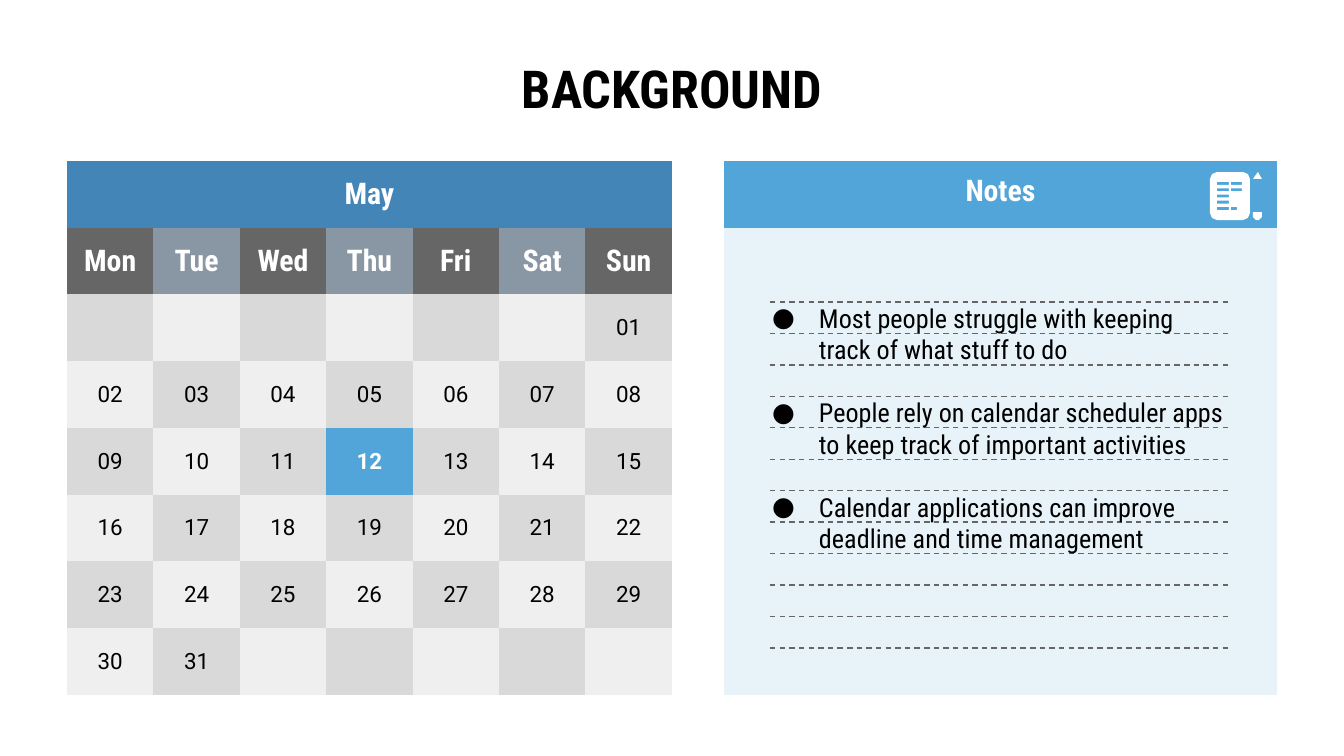
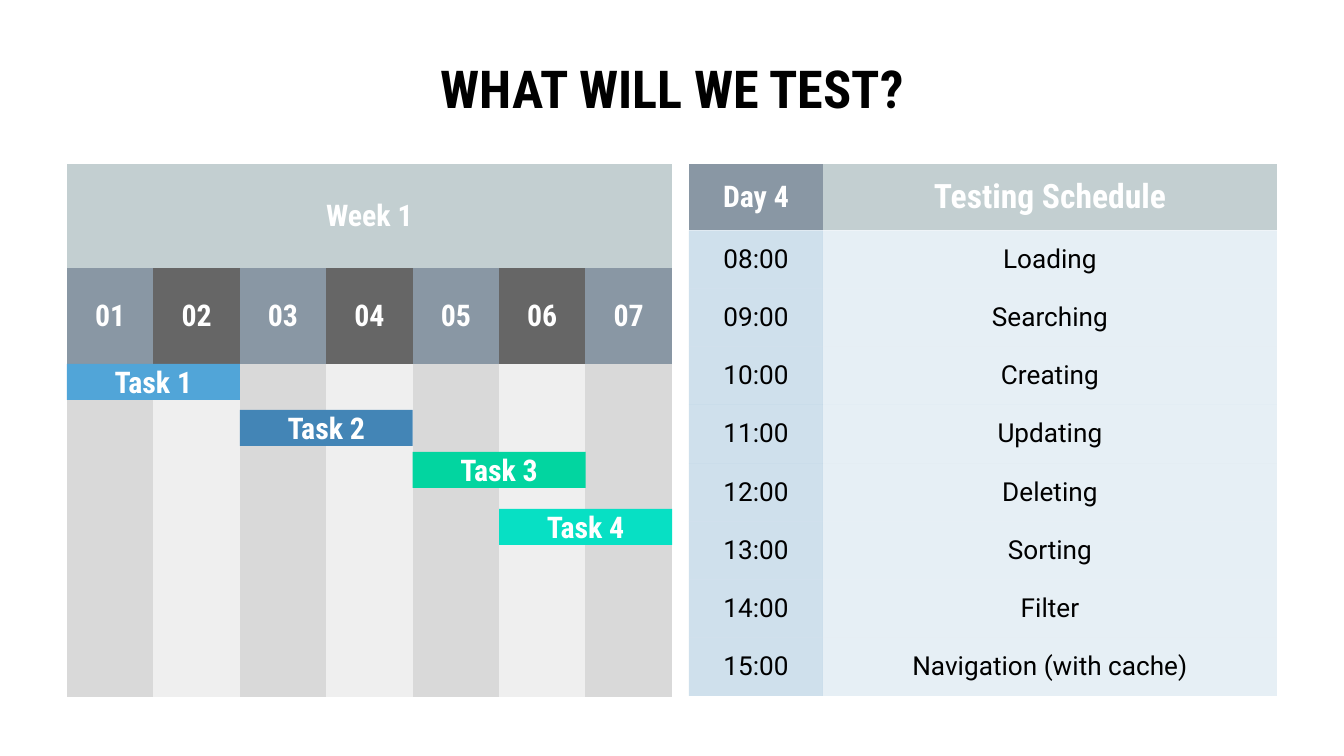
from math import cos, pi, sin
from collections import namedtuple

from lxml.etree import SubElement
from pptx import Presentation
from pptx.dml.color import RGBColor
from pptx.enum.dml import MSO_LINE
from pptx.enum.shapes import MSO_CONNECTOR, MSO_SHAPE
from pptx.enum.text import MSO_ANCHOR, PP_ALIGN
from pptx.oxml import parse_xml
from pptx.oxml.ns import nsdecls, qn
from pptx.util import Emu, Pt

BLACK = RGBColor(0x00, 0x00, 0x00)
WHITE = RGBColor(0xFF, 0xFF, 0xFF)
SKY = RGBColor(0x51, 0xA5, 0xD8)
BLUE = RGBColor(0x43, 0x85, 0xB6)
GREEN = RGBColor(0x02, 0xD5, 0xA0)
TEAL = RGBColor(0x07, 0xE0, 0xC4)
MIST = RGBColor(0xC3, 0xCF, 0xD1)
SLATE = RGBColor(0x89, 0x97, 0xA4)
CHARCOAL = RGBColor(0x66, 0x66, 0x66)
SILVER = RGBColor(0xD9, 0xD9, 0xD9)
PALE = RGBColor(0xEF, 0xEF, 0xEF)

Style = namedtuple("Style", "family size color bold")
TITLE = Style("Roboto Condensed", 28, BLACK, True)
HEADING = Style("Roboto Condensed", 16, WHITE, True)
BIG_HEADING = HEADING._replace(size=18)
NOTE = Style("Roboto Condensed", 14, BLACK, False)
DATE = Style("Roboto", 12, BLACK, False)
MARKED_DATE = DATE._replace(color=WHITE, bold=True)
ENTRY = Style("Roboto", 14, BLACK, False)

BACKGROUND_TITLE = "BACKGROUND"
MONTH = "May"
WEEKDAYS = ["Mon", "Tue", "Wed", "Thu", "Fri", "Sat", "Sun"]
BLANK_DAYS, LAST_DAY, MARKED_DAY, WEEKS = 6, 31, 12, 6
NOTES_HEADING = "Notes"
NOTES = [
    "Most people struggle with keeping track of what stuff to do",
    "People rely on calendar scheduler apps to keep track of important activities",
    "Calendar applications can improve deadline and time management",
]

TEST_TITLE = "WHAT WILL WE TEST?"
WEEK = "Week 1"
WEEK_DAYS = [f"{day:02}" for day in range(1, 8)]
TASKS = [
    ("Task 1", 1, 364, SKY),
    ("Task 2", 3, 410, BLUE),
    ("Task 3", 5, 452, GREEN),
    ("Task 4", 6, 509, TEAL),
]
SCHEDULE_HEADINGS = [("Day 4", HEADING, SLATE), ("Testing Schedule", BIG_HEADING, MIST)]
FIRST_HOUR = 8
ACTIVITIES = ["Loading", "Searching", "Creating", "Updating", "Deleting",
              "Sorting", "Filter", "Navigation (with cache)"]

EMU_PER_PX = 914400 / 134.4
SLIDE_SIZE = (1344, 756)
MARGIN, CONTENT_WIDTH = 67, 1210
INSET = 13
DAY_WIDTH = 605 / 7
CALENDAR_TOP, CALENDAR_HEIGHT = 161, 534
NOTES_LEFT, NOTES_WIDTH, NOTES_HEADER = 724, 553, 67
RULE_LEFT, RULE_RIGHT, RULE_TOP, RULE_BOTTOM, RULES = 770, 1231, 302, 648, 12
TEST_TOP = 164
WEEK_HEIGHTS = [104, 96, 333]
SCHEDULE_LEFT, SCHEDULE_WIDTHS = 689, [134, 454]
SCHEDULE_HEADER, SCHEDULE_BODY = 66, 466
TASK_HEIGHT, TASK_DAYS = 36, 2
NO_GRID_STYLE = "{2D5ABB26-0587-4C30-8999-92F81FD0307C}"


def px(length):
    return Emu(round(length * EMU_PER_PX))


def style_paragraph(paragraph, style, align=PP_ALIGN.CENTER):
    paragraph.alignment = align
    font = paragraph.font
    font.name, font.size, font.bold = style.family, Pt(style.size), style.bold
    font.color.rgb = style.color


def set_insets(frame):
    frame.word_wrap = True
    frame.vertical_anchor = MSO_ANCHOR.MIDDLE
    frame.margin_left = frame.margin_right = px(INSET)
    frame.margin_top = frame.margin_bottom = px(INSET)


def add_text_frame(slide, *box):
    frame = slide.shapes.add_textbox(*map(px, box)).text_frame
    set_insets(frame)
    return frame


def add_title(slide, text):
    frame = add_text_frame(slide, MARGIN, 60, CONTENT_WIDTH, 55)
    frame.text = text
    style_paragraph(frame.paragraphs[0], TITLE)


def add_grid(slide, left, top, widths, heights):
    frame = slide.shapes.add_table(len(heights), len(widths), px(left), px(top),
                                   px(sum(widths)), px(sum(heights)))
    table = frame.table
    table.first_row = table.horz_banding = False
    table._tbl.tblPr.find(qn("a:tableStyleId")).text = NO_GRID_STYLE
    for column, width in zip(table.columns, widths):
        column.width = px(width)
    for row, height in zip(table.rows, heights):
        row.height = px(height)
    return table


def fill_cell(cell, color, text="", style=HEADING, opacity=100, anchor=MSO_ANCHOR.MIDDLE):
    cell.fill.solid()
    cell.fill.fore_color.rgb = color
    if opacity < 100:
        tint = cell._tc.tcPr.find(".//" + qn("a:srgbClr"))
        SubElement(tint, qn("a:alpha"), val=str(opacity * 1000))
    if text:
        set_cell_text(cell, text, style, anchor)


def set_cell_text(cell, text, style, anchor):
    cell.text = text
    cell.vertical_anchor = anchor
    cell.margin_left = cell.margin_right = px(INSET)
    cell.margin_top = cell.margin_bottom = px(INSET)
    style_paragraph(cell.text_frame.paragraphs[0], style)


def add_day_grid(slide, top, heights, heading, heading_color, days, day_colors):
    table = add_grid(slide, MARGIN, top, [DAY_WIDTH] * 7, heights)
    table.cell(0, 0).merge(table.cell(0, 6))
    fill_cell(table.cell(0, 0), heading_color, heading)
    for column, day in enumerate(days):
        fill_cell(table.cell(1, column), day_colors[column % 2], day)
    return table


def add_month(slide):
    rows = WEEKS + 2
    table = add_day_grid(slide, CALENDAR_TOP, [CALENDAR_HEIGHT / rows] * rows,
                         MONTH, BLUE, WEEKDAYS, (CHARCOAL, SLATE))
    for week in range(WEEKS):
        for column in range(7):
            day = week * 7 + column + 1 - BLANK_DAYS
            text = f"{day:02}" if 1 <= day <= LAST_DAY else ""
            color, style = (SILVER, PALE)[(week + column) % 2], DATE
            if day == MARKED_DAY:
                color, style = SKY, MARKED_DATE
            fill_cell(table.cell(week + 2, column), color, text, style)


def add_notes_panel(slide):
    heights = [NOTES_HEADER, CALENDAR_HEIGHT - NOTES_HEADER]
    panel = add_grid(slide, NOTES_LEFT, CALENDAR_TOP, [NOTES_WIDTH], heights)
    fill_cell(panel.cell(0, 0), SKY, NOTES_HEADING, anchor=MSO_ANCHOR.TOP)
    fill_cell(panel.cell(1, 0), SKY, opacity=13)
    rules = slide.shapes.add_group_shape().shapes
    for index in range(RULES):
        y = px(RULE_TOP + index * (RULE_BOTTOM - RULE_TOP) / (RULES - 1))
        rule = rules.add_connector(MSO_CONNECTOR.STRAIGHT, px(RULE_LEFT), y, px(RULE_RIGHT), y)
        rule.line.color.rgb = CHARCOAL
        rule.line.width = Pt(0.75)
        rule.line.dash_style = MSO_LINE.DASH
        SubElement(rule._element.spPr, qn("a:effectLst"))


def add_bullet(paragraph):
    properties = paragraph._p.get_or_add_pPr()
    properties.set("marL", str(px(68)))
    properties.set("indent", str(px(-47)))
    font = properties.find(qn("a:defRPr"))
    for bullet in (f'<a:buClr {nsdecls("a")}><a:srgbClr val="{BLACK}"/></a:buClr>',
                   f'<a:buSzPts {nsdecls("a")} val="{NOTE.size * 100}"/>',
                   f'<a:buFont {nsdecls("a")} typeface="{NOTE.family}"/>',
                   f'<a:buChar {nsdecls("a")} char="●"/>'):
        font.addprevious(parse_xml(bullet))


def add_notes(slide):
    frame = add_text_frame(slide, 738, 288, 500, 280)
    for index, note in enumerate(NOTES):
        paragraph = frame.add_paragraph() if index else frame.paragraphs[0]
        paragraph.text = note
        paragraph.space_before = Pt(17 if index else 0)
        style_paragraph(paragraph, NOTE, PP_ALIGN.LEFT)
        add_bullet(paragraph)


def rounded_outline(left, top, width, height, radius, steps):
    right, bottom = left + width - radius, top + height - radius
    left, top = left + radius, top + radius
    centers = [(right, bottom), (left, bottom), (left, top), (right, top)]
    return [(x + radius * cos(angle), y + radius * sin(angle))
            for quarter, (x, y) in enumerate(centers)
            for angle in [(quarter + step / steps) * pi / 2 for step in range(steps + 1)]]


def bar_outline(left, top, width, height):
    right, bottom = left + width, top + height
    return [(left, top), (right, top), (right, bottom), (left, bottom)]


def add_outlines(shapes, outlines):
    builder = None
    for outline in outlines:
        start, *rest = [(px(x), px(y)) for x, y in outline]
        if builder is None:
            builder = shapes.build_freeform(*start)
        else:
            builder.move_to(*start)
        builder.add_line_segments(rest, close=True)
    shape = builder.convert_to_shape()
    shape.shadow.inherit = False
    shape.fill.solid()
    shape.fill.fore_color.rgb = WHITE
    shape.line.fill.background()


def add_notepad_icon(slide):
    icon = slide.shapes.add_group_shape().shapes
    add_outlines(icon, [[(1258, 172), (1253, 179), (1262, 179)]])
    add_outlines(icon, [[(1253, 212), (1262, 212), (1262, 217),
                         (1259, 220), (1256, 220), (1253, 217)]])
    bars = [(1217, row, 12) for row in range(5)]
    bars += [(1231, 0, 11), (1231, 1, 11), (1231, 4, 6)]
    lines = [bar_outline(left, 182 + row * 6.25, width, 3) for left, row, width in bars]
    add_outlines(icon, [rounded_outline(1210, 172, 40, 48, 7, 2)] + lines)


def add_week(slide):
    table = add_day_grid(slide, TEST_TOP, WEEK_HEIGHTS, WEEK, MIST, WEEK_DAYS, (SLATE, CHARCOAL))
    for column in range(7):
        fill_cell(table.cell(2, column), (SILVER, PALE)[column % 2])
    for name, first_day, top, color in TASKS:
        left = MARGIN + (first_day - 1) * DAY_WIDTH
        task = slide.shapes.add_shape(MSO_SHAPE.ROUNDED_RECTANGLE, px(left), px(top),
                                      px(TASK_DAYS * DAY_WIDTH), px(TASK_HEIGHT))
        task.adjustments[0] = 0
        task.shadow.inherit = False
        task.fill.solid()
        task.fill.fore_color.rgb = color
        task.line.fill.background()
        set_insets(task.text_frame)
        task.text_frame.text = name
        style_paragraph(task.text_frame.paragraphs[0], HEADING)


def add_schedule(slide):
    count = len(ACTIVITIES)
    heights = [SCHEDULE_HEADER] + [SCHEDULE_BODY / count] * count
    table = add_grid(slide, SCHEDULE_LEFT, TEST_TOP, SCHEDULE_WIDTHS, heights)
    for column, (heading, style, color) in enumerate(SCHEDULE_HEADINGS):
        fill_cell(table.cell(0, column), color, heading, style)
    for row, activity in enumerate(ACTIVITIES, 1):
        hour = f"{FIRST_HOUR + row - 1:02}:00"
        fill_cell(table.cell(row, 0), BLUE, hour, ENTRY, opacity=25)
        fill_cell(table.cell(row, 1), BLUE, activity, ENTRY, opacity=13)


def main():
    deck = Presentation()
    deck.slide_width, deck.slide_height = map(px, SLIDE_SIZE)
    blank = deck.slide_layouts[6]

    background = deck.slides.add_slide(blank)
    add_notes_panel(background)
    add_title(background, BACKGROUND_TITLE)
    add_month(background)
    add_notepad_icon(background)
    add_notes(background)

    test = deck.slides.add_slide(blank)
    add_title(test, TEST_TITLE)
    add_week(test)
    add_schedule(test)

    deck.save("out.pptx")


if __name__ == "__main__":
    main()
